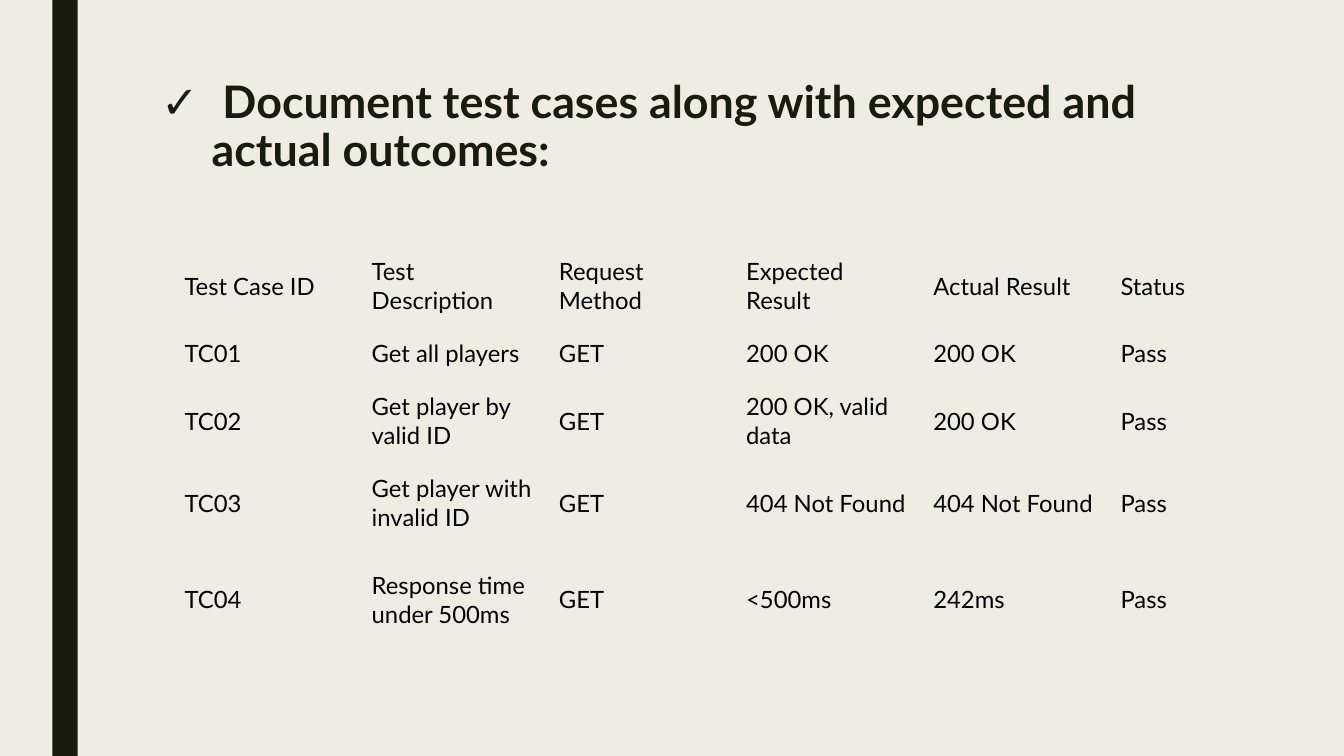
from lxml import etree
from pptx import Presentation
from pptx.dml.color import RGBColor
from pptx.enum import shapes, text
from pptx.oxml import ns
from pptx.util import Inches, Pt

CREAM = RGBColor(0xEF, 0xED, 0xE3)
DARK = RGBColor(0x19, 0x1B, 0x0E)
BLACK = RGBColor(0, 0, 0)

FONT = "Lato"
TITLE_FORMAT = {"name": FONT, "size": Pt(32), "bold": True}
CELL_FORMAT = {"name": FONT, "size": Pt(17), "bold": False}
NO_GRID_STYLE = "{2D5ABB26-0587-4C30-8999-92F81FD0307C}"

TITLE = " Document test cases along with expected and actual outcomes:"
TEST_CASES = [
    ("Test Case ID", "Test Description", "Request Method",
     "Expected Result", "Actual Result", "Status"),
    ("TC01", "Get all players", "GET", "200 OK", "200 OK", "Pass"),
    ("TC02", "Get player by valid ID", "GET", "200 OK, valid data", "200 OK", "Pass"),
    ("TC03", "Get player with invalid ID", "GET", "404 Not Found", "404 Not Found", "Pass"),
    ("TC04", "Response time under 500ms", "GET", "<500ms", "242ms", "Pass"),
]
ROW_HEIGHTS = [0.67, 0.67, 0.67, 0.96, 0.96]
COLUMN_WIDTH = 1.857


def add_span(para, words, color, font_format):
    span = para.add_run()
    span.text = words
    for name, value in font_format.items():
        setattr(span.font, name, value)
    span.font.color.rgb = color


def add_check_bullet(para):
    """Give the paragraph a check mark with a hanging indent."""
    props = para._p.get_or_add_pPr()
    props.set("marL", str(Inches(0.5)))
    props.set("indent", str(-Inches(0.5)))
    etree.SubElement(props, ns.qn("a:buFont"), typeface="Segoe UI Symbol")
    etree.SubElement(props, ns.qn("a:buChar"), char="✓")


def add_side_bar(page):
    bar = page.shapes.add_shape(shapes.MSO_SHAPE.RECTANGLE, Inches(0.52), Inches(0),
                                Inches(0.25), Inches(7.5))
    bar.shadow.inherit = False
    bar.fill.solid()
    bar.fill.fore_color.rgb = DARK
    bar.line.fill.background()


def add_title(page):
    box = page.shapes.add_textbox(Inches(1.5), Inches(0.75), Inches(10.5), Inches(1.62))
    box.text_frame.word_wrap = True
    para = box.text_frame.paragraphs[0]
    para.line_spacing = 0.89
    add_check_bullet(para)
    add_span(para, TITLE, DARK, TITLE_FORMAT)


def add_test_table(page):
    columns = len(TEST_CASES[0])
    frame = page.shapes.add_table(len(TEST_CASES), columns, Inches(1.73), Inches(2.5),
                                  Inches(COLUMN_WIDTH * columns), Inches(sum(ROW_HEIGHTS)))
    table = frame.table
    table.first_row = table.horz_banding = False
    table._tbl.tblPr.find(ns.qn("a:tableStyleId")).text = NO_GRID_STYLE
    for column in table.columns:
        column.width = Inches(COLUMN_WIDTH)
    for row, height, values in zip(table.rows, ROW_HEIGHTS, TEST_CASES):
        row.height = Inches(height)
        for cell, value in zip(row.cells, values):
            cell.fill.background()
            cell.vertical_anchor = text.MSO_ANCHOR.MIDDLE
            add_span(cell.text_frame.paragraphs[0], value, BLACK, CELL_FORMAT)


def main():
    deck = Presentation()
    deck.slide_width, deck.slide_height = Inches(13.33), Inches(7.5)
    page = deck.slides.add_slide(deck.slide_layouts[6])
    page.background.fill.solid()
    page.background.fill.fore_color.rgb = CREAM
    add_side_bar(page)
    add_title(page)
    add_test_table(page)
    deck.save("out.pptx")


if __name__ == "__main__":
    main()
